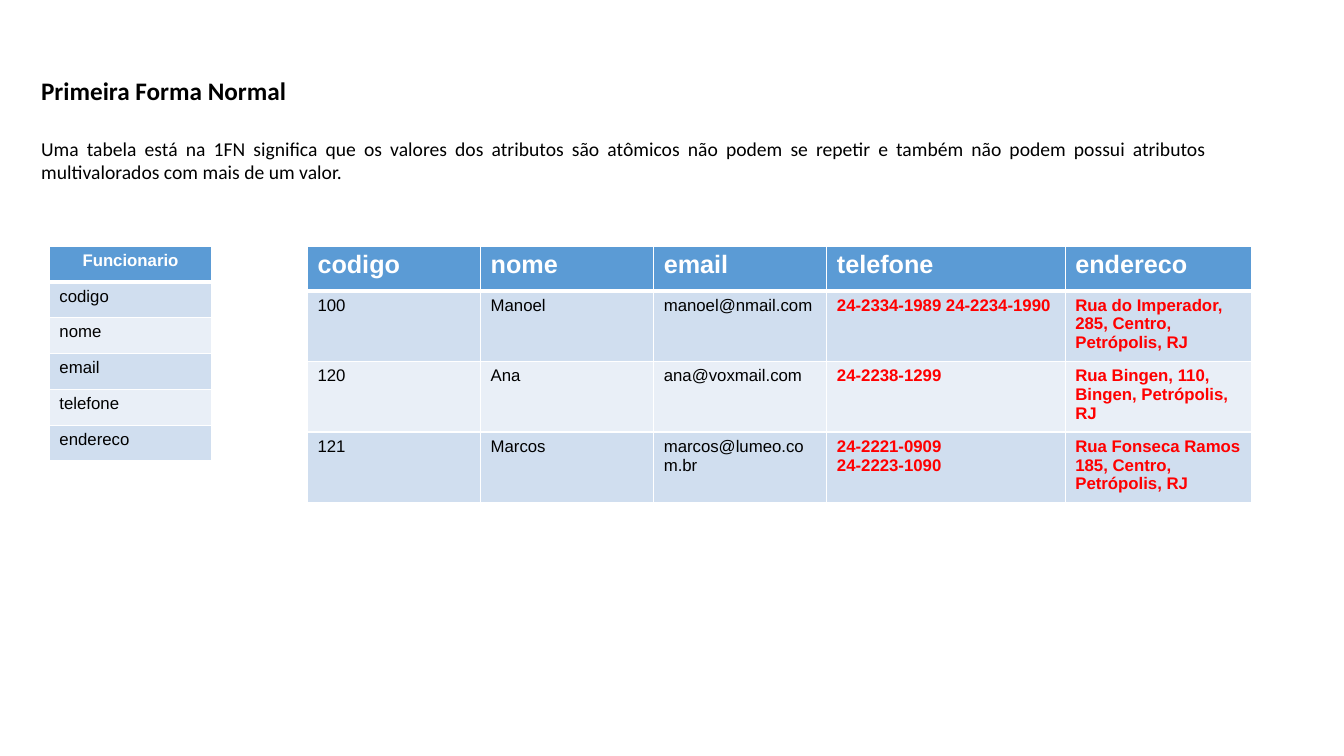
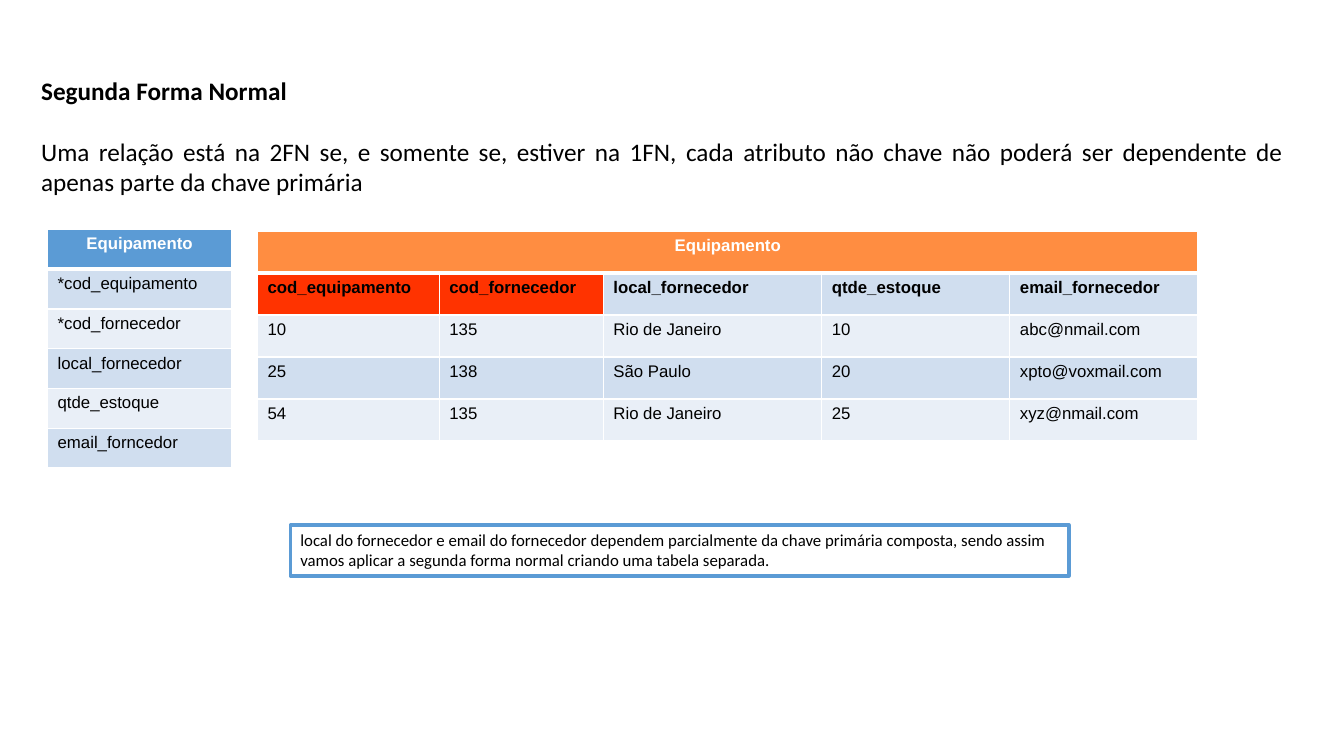
"""Builds two slides on the first and second normal forms."""
from dataclasses import dataclass

from lxml import etree
from pptx import Presentation
from pptx import util as u
from pptx.dml.color import RGBColor
from pptx.enum import shapes, text
from pptx.oxml.ns import qn

Pt = u.Pt


@dataclass(frozen=True)
class Theme:
    ink: str = "000000"
    paper: str = "FFFFFF"
    accent: str = "5B9BD5"
    orange: str = "FF8D41"
    key: str = "FF3300"
    alert: str = "FF0000"
    bands: tuple = ("D0DEEF", "E9EFF7")
    body_font: str = "Calibri"
    table_font: str = "Arial"
    title: int = 18
    body: int = 14
    small: int = 12
    thin: int = 1
    thick: int = 3


T = Theme()
LEFT, CENTER, JUSTIFY = (text.PP_ALIGN.LEFT, text.PP_ALIGN.CENTER,
                         text.PP_ALIGN.JUSTIFY)

SLIDES = [
    {
        "title": "Primeira Forma Normal",
        "body": "Uma tabela está na 1FN significa que os valores dos atributos são atômicos "
                "não podem se repetir e também não podem possui atributos multivalorados "
                "com mais de um valor.",
        "body_size": T.body,
        "text_box": (847, 85),
        "tables": [
            {
                "at": (35.3, 175.7), "cols": [116], "heights": [25.6] * 6,
                "head_align": CENTER,
                "rows": [["Funcionario"], ["codigo"], ["nome"], ["email"],
                         ["telefone"], ["endereco"]],
            },
            {
                "at": (219.6, 175.7), "cols": [123.7, 123.7, 123.7, 170.3, 133],
                "heights": [32] + [50.2] * 3,
                "head_size": T.title, "alert_cols": (3, 4),
                "rows": [
                    ["codigo", "nome", "email", "telefone", "endereco"],
                    ["100", "Manoel", "manoel@nmail.com", "24-2334-1989 24-2234-1990",
                     "Rua do Imperador, 285, Centro, Petrópolis, RJ"],
                    ["120", "Ana", "ana@voxmail.com", "24-2238-1299",
                     "Rua Bingen, 110, Bingen, Petrópolis, RJ"],
                    ["121", "Marcos", "marcos@lumeo.com.br", "24-2221-0909\n24-2223-1090",
                     "Rua Fonseca Ramos 185, Centro, Petrópolis, RJ"],
                ],
            },
        ],
    },
    {
        "title": "Segunda Forma Normal",
        "body": "Uma relação está na 2FN se, e somente se, estiver na 1FN, cada atributo não "
                "chave não poderá ser dependente de apenas parte da chave primária",
        "body_size": T.title,
        "text_box": (901.5, 94.3),
        "tables": [
            {
                "at": (34, 164), "cols": [131.5], "heights": [28.4] * 6,
                "head_align": CENTER,
                "rows": [["Equipamento"], ["*cod_equipamento"], ["*cod_fornecedor"],
                         ["local_fornecedor"], ["qtde_estoque"], ["email_forncedor"]],
            },
            {
                "at": (184, 165), "cols": [129.8, 117.2, 156, 134.4, 134.4],
                "heights": [30] * 5,
                "head_fill": T.orange, "head_align": CENTER, "key_cols": (0, 1),
                "bold_rows": (1,),
                "rows": [
                    ["Equipamento"],
                    ["cod_equipamento", "cod_fornecedor", "local_fornecedor",
                     "qtde_estoque", "email_fornecedor"],
                    ["10", "135", "Rio de Janeiro", "10", "abc@nmail.com"],
                    ["25", "138", "São Paulo", "20", "xpto@voxmail.com"],
                    ["54", "135", "Rio de Janeiro", "25", "xyz@nmail.com"],
                ],
            },
        ],
        "note": "local do fornecedor e email do fornecedor dependem parcialmente da chave "
                "primária composta, sendo assim vamos aplicar a segunda forma normal "
                "criando uma tabela separada.",
    },
]


def rgb(value):
    return RGBColor.from_string(value)


def style(p, color, align=LEFT, **font):
    p.alignment = align
    for name, value in font.items():
        setattr(p.font, name, value)
    p.font.color.rgb = rgb(color)


def add_heading(s, spec):
    tf = s.shapes.add_textbox(Pt(22.3), Pt(50.4), *map(Pt, spec["text_box"])).text_frame
    tf.word_wrap = True
    tf.text = spec["title"] + "\n" + spec["body"]
    title, body = tf.paragraphs
    style(title, T.ink, JUSTIFY, name=T.body_font, size=Pt(T.title), bold=True)
    style(body, T.ink, JUSTIFY, name=T.body_font, size=Pt(spec["body_size"]), bold=False)
    body.space_before = Pt(22)


def set_borders(cell, top, bottom):
    tc_pr = cell._tc.get_or_add_tcPr()
    for side, width in (("L", T.thin), ("R", T.thin), ("T", top), ("B", bottom)):
        ln = etree.SubElement(tc_pr, qn(f"a:ln{side}"), w=str(Pt(width)))
        fill = etree.SubElement(ln, qn("a:solidFill"))
        etree.SubElement(fill, qn("a:srgbClr"), val=T.paper)


def cell_format(spec, row, col):
    if row == 0:
        return (spec.get("head_fill", T.accent), T.paper, True,
                spec.get("head_size", T.small), spec.get("head_align", LEFT))
    alert = col in spec.get("alert_cols", ())
    label = row in spec.get("bold_rows", ())
    key = label and col in spec.get("key_cols", ())
    fill = T.key if key else T.bands[(row - 1) % 2]
    return fill, T.alert if alert else T.ink, alert or label, T.small, LEFT


def add_grid(s, spec):
    rows, cols, heights = spec["rows"], spec["cols"], spec["heights"]
    size = (Pt(sum(cols)), Pt(sum(heights)))
    table = s.shapes.add_table(len(rows), len(cols), *map(Pt, spec["at"]), *size).table
    table.first_row = table.horz_banding = False
    for column, width in zip(table.columns, cols):
        column.width = Pt(width)
    for row, height in zip(table.rows, heights):
        row.height = Pt(height)
    if len(rows[0]) < len(cols):
        table.cell(0, 0).merge(table.cell(0, len(cols) - 1))
    for i, values in enumerate(rows):
        for j in range(len(cols)):
            cell = table.cell(i, j)
            fill, color, bold, points, align = cell_format(spec, i, j)
            set_borders(cell, T.thick if i == 1 else T.thin, T.thick if i == 0 else T.thin)
            cell.fill.solid()
            cell.fill.fore_color.rgb = rgb(fill)
            if j < len(values):
                cell.text = values[j]
                for p in cell.text_frame.paragraphs:
                    style(p, color, align, name=T.table_font, size=Pt(points), bold=bold)


def add_note(s, note):
    sp = s.shapes.add_shape(shapes.MSO_SHAPE.RECTANGLE, Pt(207.5), Pt(375), Pt(556), Pt(36.4))
    sp.shadow.inherit = False
    sp.fill.solid()
    sp.fill.fore_color.rgb = rgb(T.paper)
    sp.line.color.rgb = rgb(T.accent)
    sp.line.width = Pt(2.5)
    tf = sp.text_frame
    tf.word_wrap = True
    tf.vertical_anchor = text.MSO_ANCHOR.TOP
    tf.text = note
    style(tf.paragraphs[0], T.ink, name=T.body_font, size=Pt(T.small))


def main():
    prs = Presentation()
    prs.slide_width, prs.slide_height = Pt(960), Pt(540)
    for spec in SLIDES:
        s = prs.slides.add_slide(prs.slide_layouts[6])
        add_heading(s, spec)
        for table in spec["tables"]:
            add_grid(s, table)
        if "note" in spec:
            add_note(s, spec["note"])
    prs.save("out.pptx")


if __name__ == "__main__":
    main()
